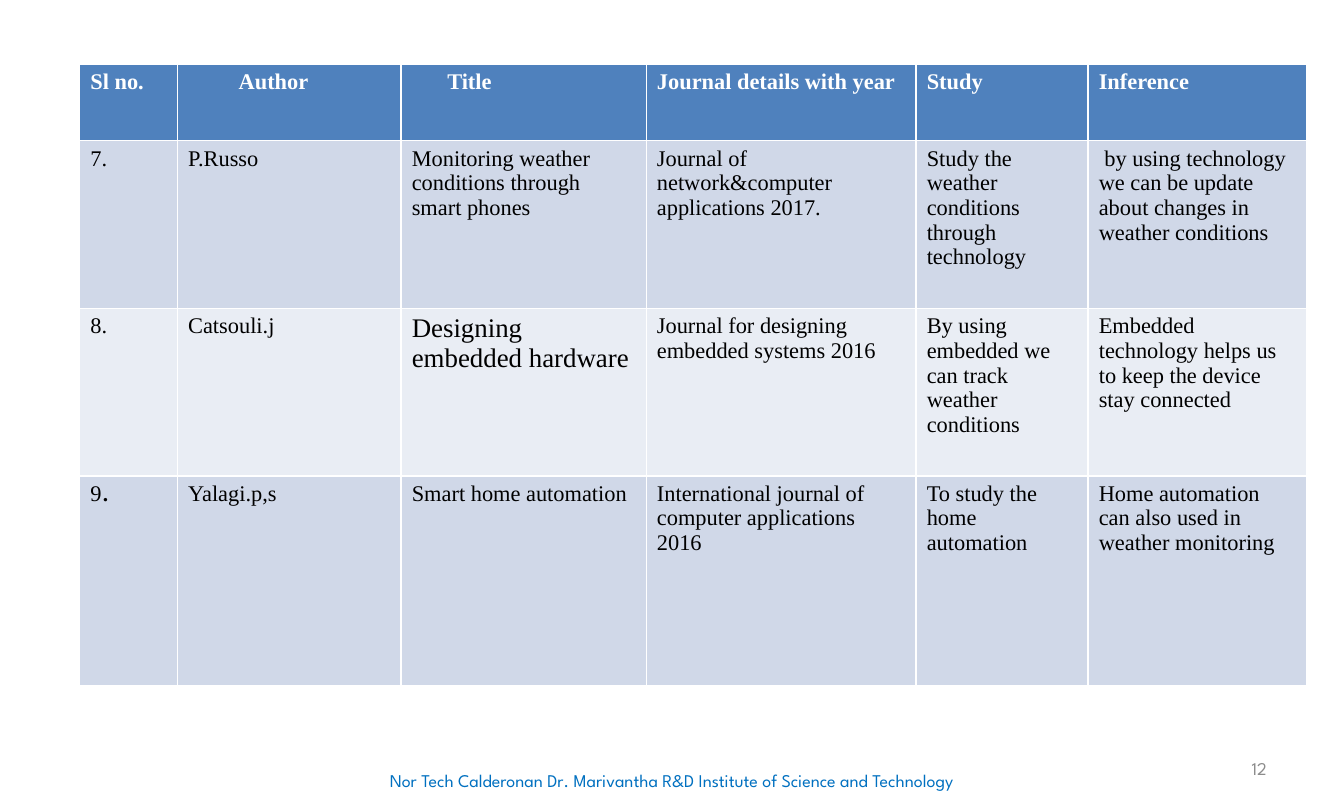
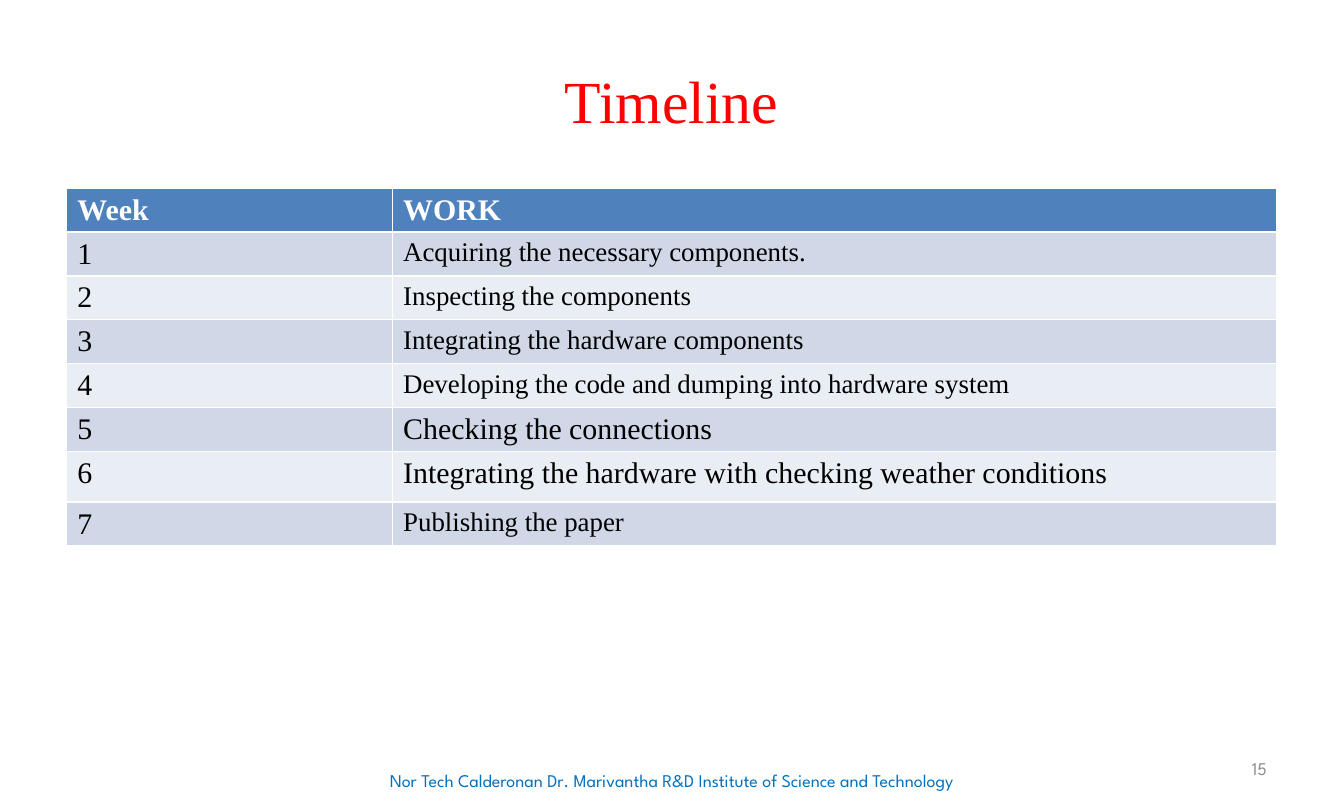
"""Builds a literature table slide and a project timeline slide."""
from pptx import Presentation
from pptx.dml.color import RGBColor
from pptx.enum import text
from pptx.util import Pt

PX = 9144
BLUE = RGBColor(0x4F, 0x81, 0xBD)
BANDS = [RGBColor(0xE9, 0xED, 0xF4), RGBColor(0xD0, 0xD8, 0xE8)]
WHITE = RGBColor(255, 255, 255)
BLACK = RGBColor(0, 0, 0)
RED = RGBColor(255, 0, 0)
AZURE = RGBColor(0x00, 0x70, 0xC0)
GRAY = RGBColor(0x8C, 0x8C, 0x8C)
SERIF = "Times New Roman"
SANS = "League Spartan"
LEFT, MID, RIGHT = text.PP_ALIGN.LEFT, text.PP_ALIGN.CENTER, text.PP_ALIGN.RIGHT
FOOT = "Nor Tech Calderonan Dr. Marivantha R&D Institute of Science and Technology"


def write(frame, words, size=15, font=SERIF, color=BLACK, bold=False, align=LEFT):
    para = frame.paragraphs[0]
    para.alignment = align
    run = para.add_run()
    run.text = words
    run.font.size = Pt(size)
    run.font.name = font
    run.font.color.rgb = color
    run.font.bold = bold


def fill_table(slide, left, top, widths, heights, rows, size, sizes):
    box = [n * PX for n in (left, top, sum(widths), sum(heights))]
    table = slide.shapes.add_table(len(rows), len(widths), *box).table
    for col, width in zip(table.columns, widths):
        col.width = width * PX
    for r, row in enumerate(rows):
        table.rows[r].height = heights[r] * PX
        for c, words in enumerate(row):
            cell = table.cell(r, c)
            cell.fill.solid()
            cell.fill.fore_color.rgb = BANDS[r % 2] if r else BLUE
            write(cell.text_frame, words, size=sizes.get((r, c), size),
                  color=BLACK if r else WHITE, bold=r == 0)
    return table


papers = [
    ["Sl no.", "Author", "Title", "Journal details with year", "Study", "Inference"],
    ["7.", "P.Russo", "Monitoring weather conditions through smart phones",
     "Journal of network&computer applications 2017.",
     "Study the weather conditions through technology",
     " by using technology we can be update about changes in weather conditions"],
    ["8.", "Catsouli.j", "Designing embedded hardware",
     "Journal for designing embedded systems 2016",
     "By using embedded we can track weather conditions",
     "Embedded technology helps us to keep the device stay connected"],
    ["9", "Yalagi.p,s", "Smart home automation",
     "International journal of computer applications 2016",
     "To study the home automation",
     "Home automation can also used in weather monitoring"],
]
tasks = [
    "Acquiring the necessary components.",
    "Inspecting the components",
    "Integrating the hardware components",
    "Developing the code and dumping into hardware system",
    "Checking the connections",
    "Integrating the hardware with checking weather conditions",
    "Publishing the paper",
]
weeks = [["Week", "WORK"]] + [[str(n), task] for n, task in enumerate(tasks, 1)]

deck = Presentation()
deck.slide_width, deck.slide_height = 1250 * PX, 750 * PX

survey = deck.slides.add_slide(deck.slide_layouts[6])
grid = fill_table(survey, 74, 60, [91, 208, 228, 251, 160, 203],
                  [71, 156, 156, 195], papers, 15, {(2, 2): 18})
grid.cell(0, 1).margin_left = 57 * PX
grid.cell(0, 2).margin_left = 43 * PX
write(grid.cell(3, 0).text_frame, ".", size=18, font=SANS)

plan = deck.slides.add_slide(deck.slide_layouts[5])
title = plan.shapes.title
title.left, title.top, title.width, title.height = [n * PX for n in (62, 30, 1125, 125)]
title.text_frame.vertical_anchor = text.MSO_ANCHOR.MIDDLE
write(title.text_frame, "Timeline", size=40, color=RED, align=MID)
fill_table(plan, 62, 175, [303, 822], [40] * 6 + [47, 40], weeks, 20,
           {(r, 1): 18 for r in (1, 2, 3, 4, 7)})

for slide, number in ((survey, "12"), (plan, "15")):
    for left, top, width, words, color, align in (
            (0, 706, 1250, FOOT, AZURE, MID),
            (896, 695, 292, number, GRAY, RIGHT)):
        box = slide.shapes.add_textbox(left * PX, top * PX, width * PX, 40 * PX)
        frame = box.text_frame
        frame.word_wrap = True
        frame.vertical_anchor = text.MSO_ANCHOR.MIDDLE
        write(frame, words, size=12, font=SANS, color=color, align=align)

deck.save("out.pptx")
